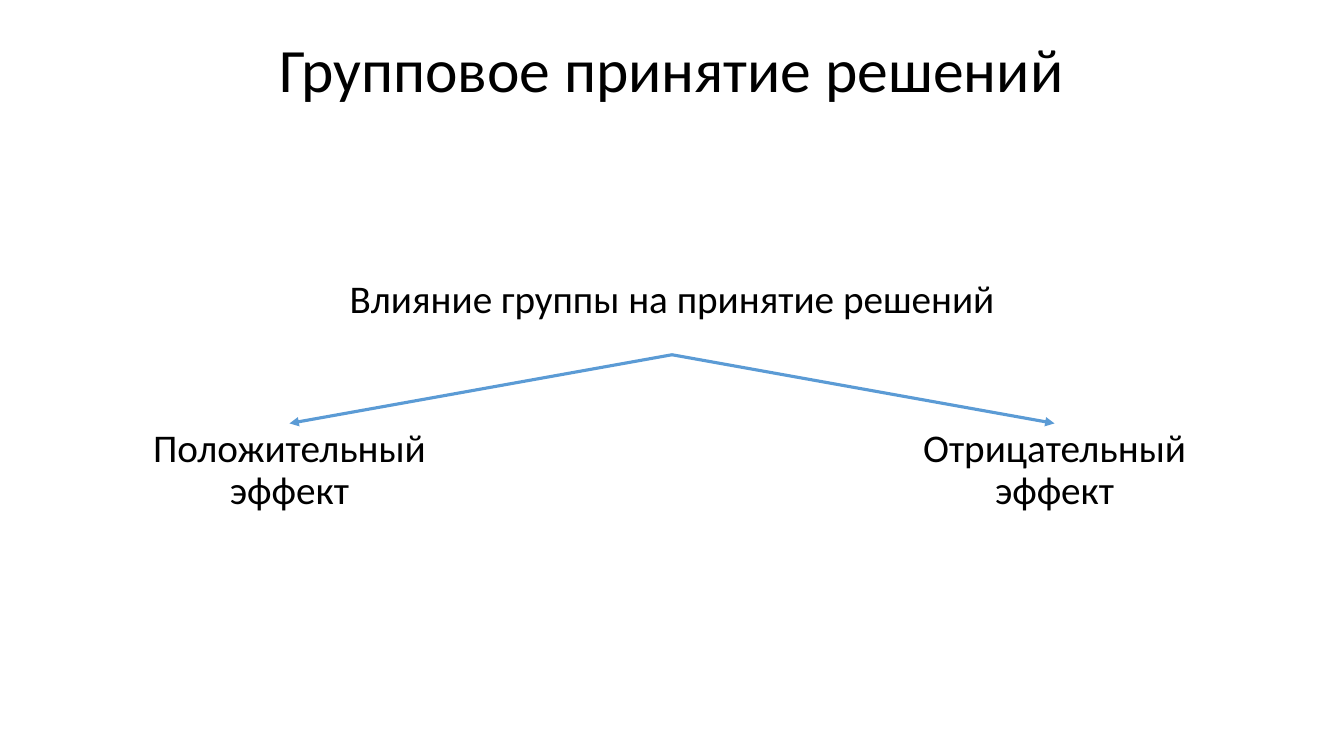
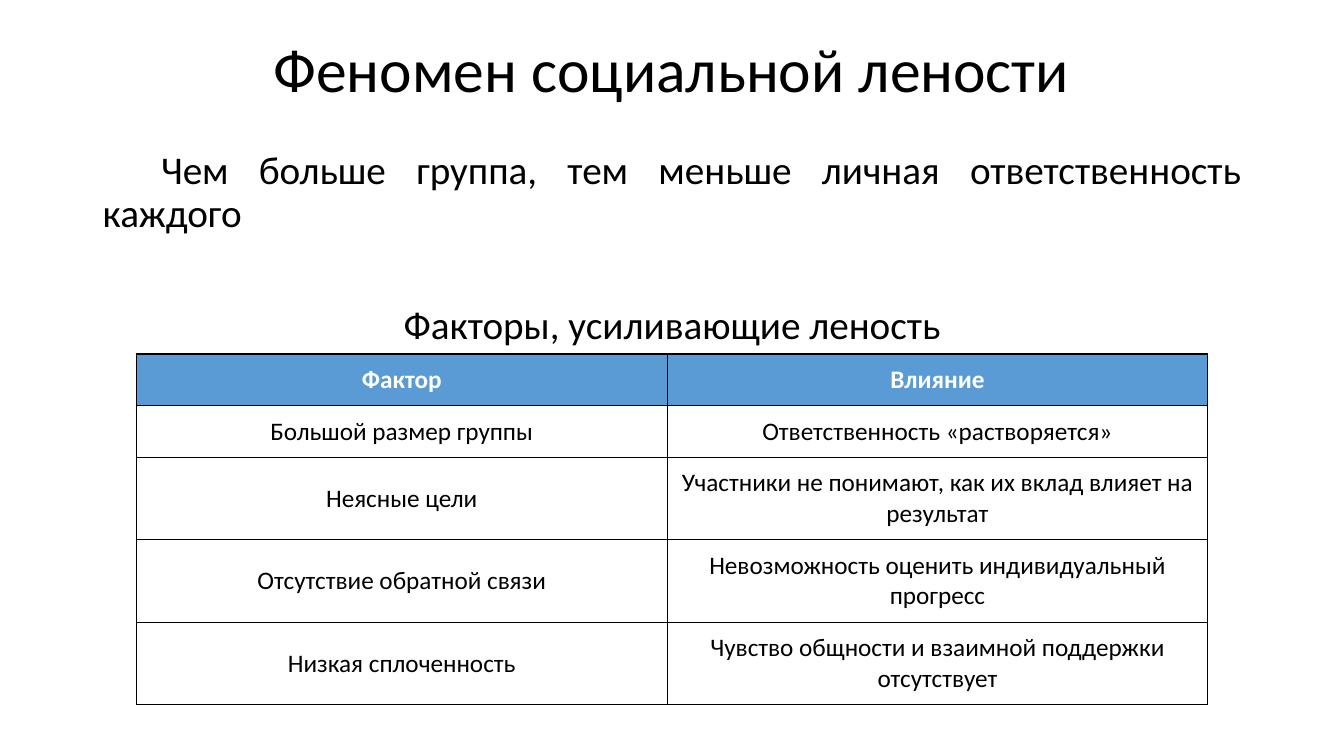
import pptx
import pptx.util
import pptx.dml.color
import pptx.enum.shapes
import pptx.enum.text
import pptx.oxml
import pptx.oxml.ns
import lxml.etree

Cm = pptx.util.Cm
Pt = pptx.util.Pt
ALIGN = pptx.enum.text.PP_ALIGN
ANCHOR = pptx.enum.text.MSO_ANCHOR
qn = pptx.oxml.ns.qn

COLORS = {"text": "000000", "accent": "5B9BD5", "white": "FFFFFF"}
FONT = "Calibri"
SLIDE_W, SLIDE_H = Cm(33.87), Cm(19.05)
MARGIN = Cm(2.34)
CONTENT_W = SLIDE_W - 2 * MARGIN
TITLE_H = Cm(3.68)

FACTORS = [
    ("Фактор", "Влияние"),
    ("Большой размер группы", "Ответственность «растворяется»"),
    ("Неясные цели", "Участники не понимают, как их вклад влияет на результат"),
    ("Отсутствие обратной связи", "Невозможность оценить индивидуальный прогресс"),
    ("Низкая сплоченность", "Чувство общности и взаимной поддержки отсутствует"),
]


def rgb(name):
    return pptx.dml.color.RGBColor.from_string(COLORS[name])


def write_text(p, text, size=28, color="text", bold=False, align=ALIGN.CENTER,
               before=10, spacing=0.9, indent=None):
    p.alignment = align
    p.line_spacing = spacing
    p.space_before = Pt(before)
    if indent is not None:
        p._p.get_or_add_pPr().set("indent", str(indent))
    r = p.add_run()
    r.text = text
    r.font.name = FONT
    r.font.size = Pt(size)
    r.font.bold = bold
    r.font.color.rgb = rgb(color)


def add_text_box(slide, box, paragraphs, anchor=ANCHOR.TOP):
    """Place a text box; paragraphs is a list of (text, format) pairs."""
    tf = slide.shapes.add_textbox(*box).text_frame
    tf.word_wrap = True
    tf.vertical_anchor = anchor
    for i, (text, fmt) in enumerate(paragraphs):
        p = tf.add_paragraph() if i else tf.paragraphs[0]
        write_text(p, text, **fmt)


def add_titled_slide(prs, title):
    slide = prs.slides.add_slide(prs.slide_layouts[6])
    add_text_box(slide, (MARGIN, 0, CONTENT_W, TITLE_H),
                 [(title, {"size": 44, "before": 0})], ANCHOR.MIDDLE)
    return slide


def add_arrow(slide, start, end):
    cn = slide.shapes.add_connector(
        pptx.enum.shapes.MSO_CONNECTOR.STRAIGHT, *start, *end)
    cn.line.color.rgb = rgb("accent")
    cn.line.width = Pt(2.25)
    lxml.etree.SubElement(cn.line._get_or_add_ln(), qn("a:tailEnd"), type="triangle")
    lxml.etree.SubElement(cn._element.spPr, qn("a:effectLst"))


def add_branches(slide, box, root, leaves):
    """Draw a root caption with an arrow to each leaf at the box's two sides."""
    left, top, width, height = box
    root_h, leaf_w, gap = Cm(2.03), Cm(9.91), Cm(1.73)
    add_text_box(slide, (left, top, width, root_h), [(root, {})])
    leaf_top = top + root_h + gap
    for leaf, x in zip(leaves, (left, left + width - leaf_w)):
        add_text_box(slide, (x, leaf_top, leaf_w, top + height - leaf_top), [(leaf, {})])
        add_arrow(slide, (left + width // 2, top + root_h), (x + leaf_w // 2, leaf_top))


def set_borders(cell):
    tcPr = cell._tc.get_or_add_tcPr()
    for side in ("lnL", "lnR", "lnT", "lnB"):
        ln = lxml.etree.SubElement(tcPr, qn(f"a:{side}"), w=str(Pt(1)))
        fill = lxml.etree.SubElement(ln, qn("a:solidFill"))
        lxml.etree.SubElement(fill, qn("a:srgbClr"), val=COLORS["text"])


def fill_cell(cell, text, header):
    set_borders(cell)
    cell.vertical_anchor = ANCHOR.MIDDLE
    cell.margin_left = cell.margin_right = Cm(0.25)
    cell.margin_top = cell.margin_bottom = Cm(0.25)
    if header:
        cell.fill.solid()
        cell.fill.fore_color.rgb = rgb("accent")
    else:
        cell.fill.background()
    write_text(cell.text_frame.paragraphs[0], text, size=18, bold=header,
               color="white" if header else "text", before=0, spacing=1.0)


def add_factor_table(slide, left, top, rows):
    col_widths = (Cm(13.39), Cm(13.61))
    row_heights = [Cm(1.3)] * 2 + [Cm(2.08)] * (len(rows) - 2)
    table = slide.shapes.add_table(len(rows), len(col_widths), left, top,
                                   sum(col_widths), sum(row_heights)).table
    table.first_row = table.horz_banding = False
    for column, width in zip(table.columns, col_widths):
        column.width = width
    for i, (texts, height) in enumerate(zip(rows, row_heights)):
        table.rows[i].height = height
        for j, text in enumerate(texts):
            fill_cell(table.cell(i, j), text, header=i == 0)


def build_group_decisions(prs):
    slide = add_titled_slide(prs, "Групповое принятие решений")
    add_branches(slide, (MARGIN, Cm(6.91), CONTENT_W, Cm(9.96)),
                 "Влияние группы на принятие решений",
                 ("Положительный эффект", "Отрицательный эффект"))


def build_social_loafing(prs):
    slide = add_titled_slide(prs, "Феномен социальной лености")
    add_text_box(slide, (MARGIN, TITLE_H, CONTENT_W, SLIDE_H - TITLE_H), [
        ("Чем больше группа, тем меньше личная ответственность каждого",
         {"align": ALIGN.JUSTIFY, "indent": Cm(1.47)}),
        ("Факторы, усиливающие леность", {"before": 50}),
    ])
    add_factor_table(slide, Cm(3.43), Cm(8.92), FACTORS)


def main():
    prs = pptx.Presentation()
    prs.slide_width, prs.slide_height = SLIDE_W, SLIDE_H
    build_group_decisions(prs)
    build_social_loafing(prs)
    prs.save("out.pptx")


if __name__ == "__main__":
    main()
